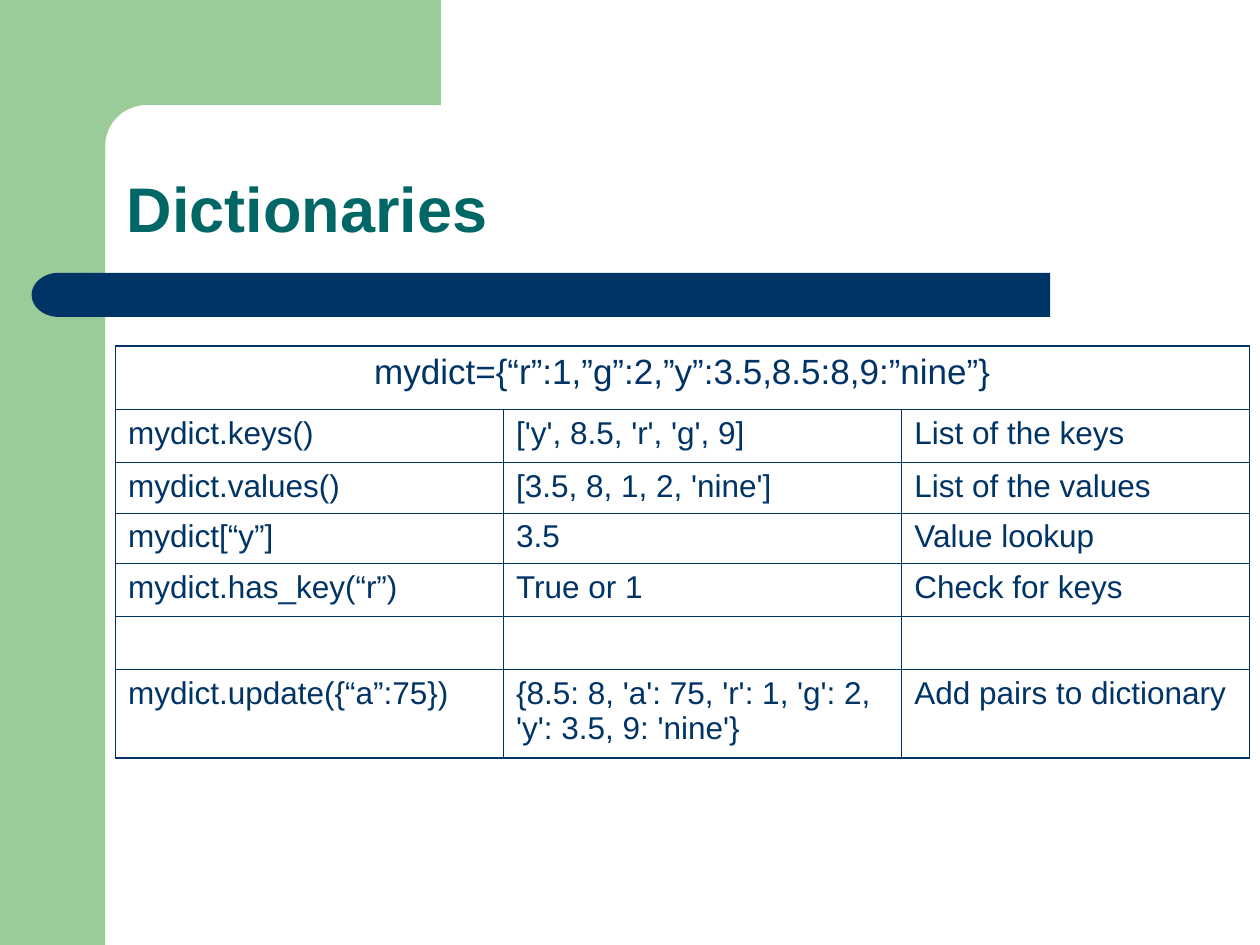
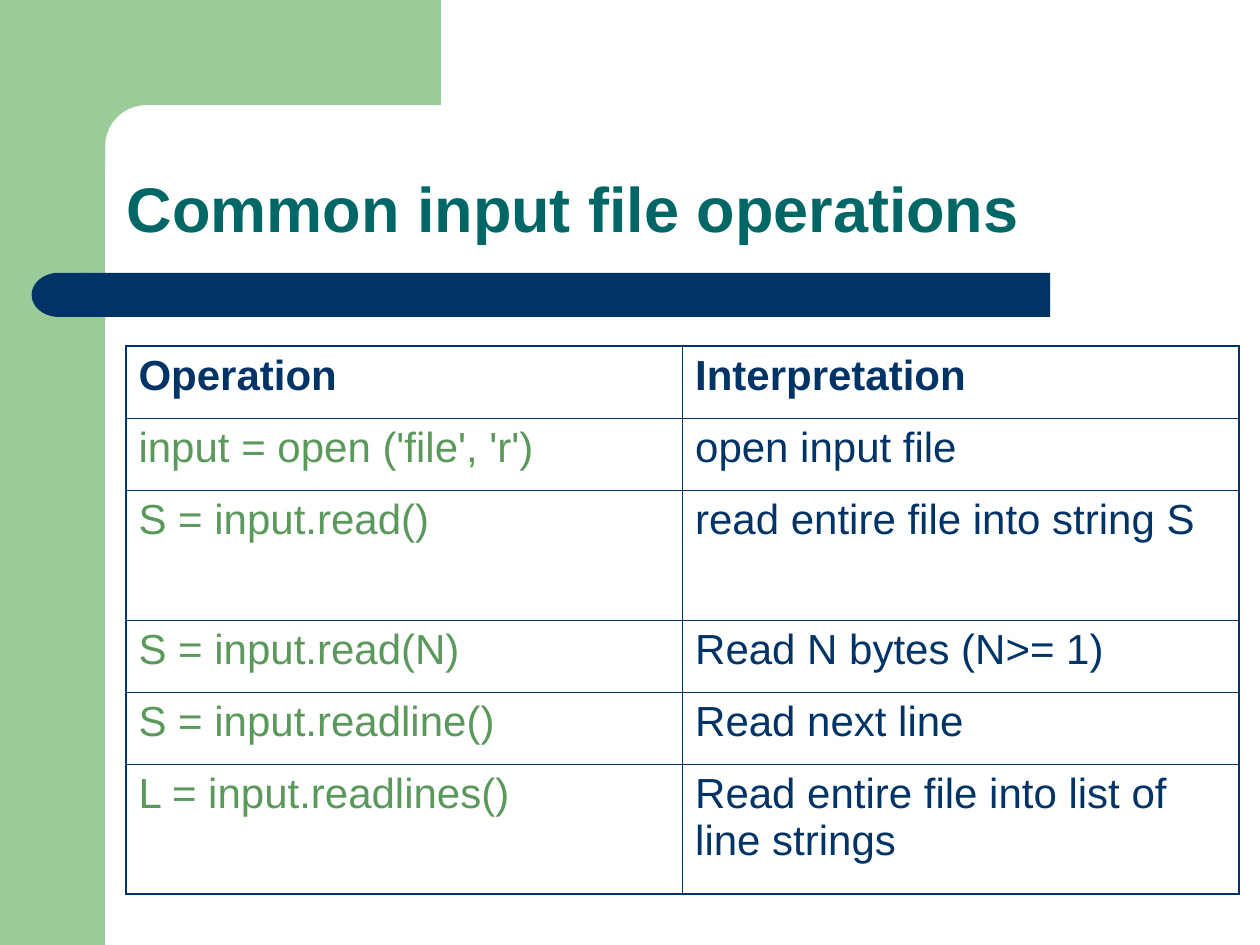
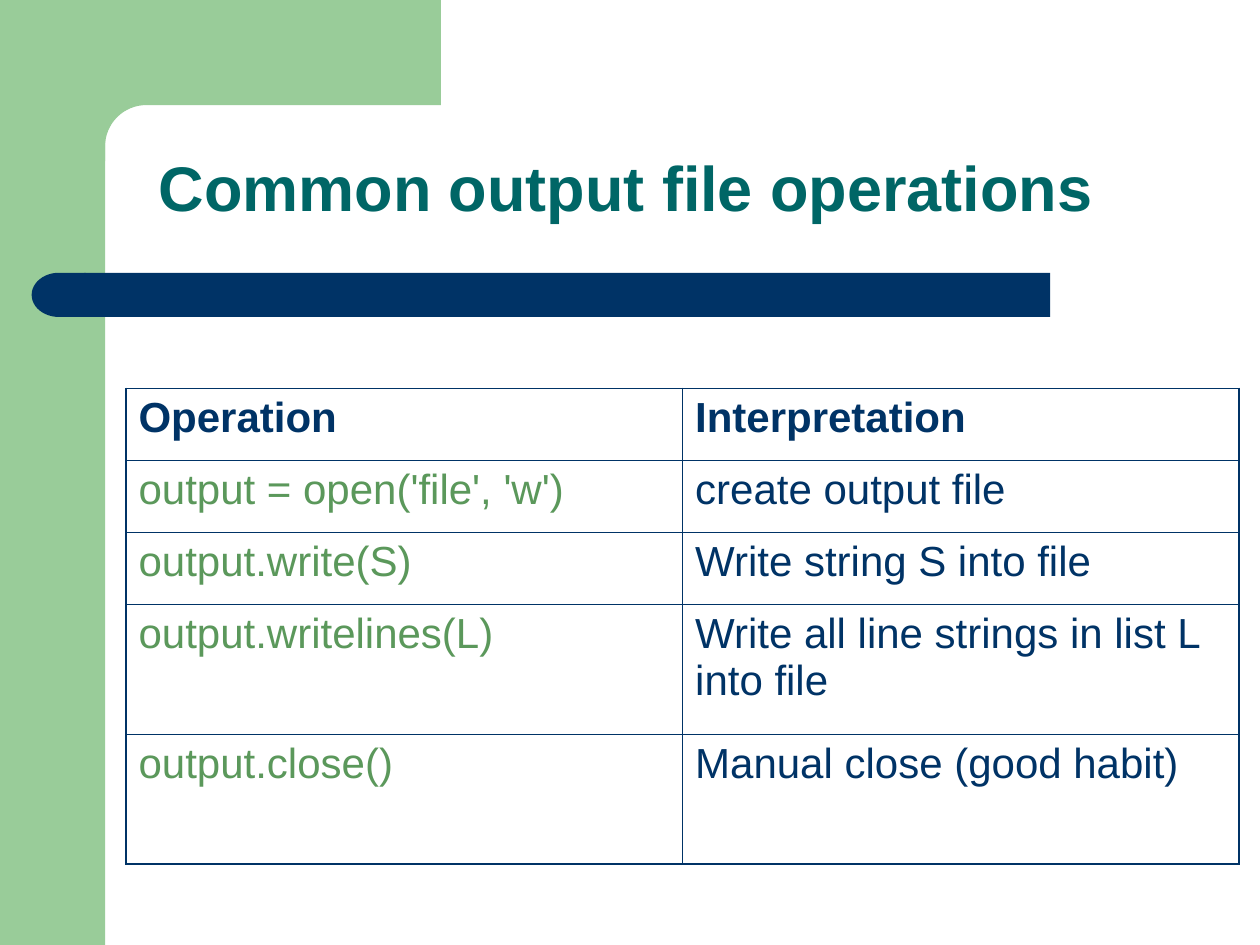
from math import cos, pi, sin

from pptx import Presentation
from pptx.dml.color import RGBColor
from pptx.enum.shapes import MSO_SHAPE
from pptx.enum.text import MSO_ANCHOR, PP_ALIGN
from pptx.oxml.ns import qn
from pptx.util import Cm, Pt
from lxml.etree import SubElement

NAVY = RGBColor(0x00, 0x33, 0x66)
TEAL = RGBColor(0x00, 0x66, 0x66)
LEAF = RGBColor(0x5B, 0x98, 0x5B)
MINT = RGBColor(0x99, 0xCC, 0x99)
FONT = "Arial"
THIN, THICK = Pt(0.45), Pt(1.08)

# Row heights in cm
LOW, HIGH = 1.45, 2.62

# Content: a row is its height and its cells
DICT = [
    (1.27, ["mydict={“r”:1,”g”:2,”y”:3.5,8.5:8,9:”nine”}", "", ""]),
    (1.07, ["mydict.keys()", "['y', 8.5, 'r', 'g', 9]", "List of the keys"]),
    (1.02, ["mydict.values()", "[3.5, 8, 1, 2, 'nine']", "List of the values"]),
    (1.02, ["mydict[“y”]", "3.5", "Value lookup"]),
    (1.07, ["mydict.has_key(“r”)", "True or 1", "Check for keys"]),
    (1.07, ["", "", ""]),
    (1.78, ["mydict.update({“a”:75})",
            "{8.5: 8, 'a': 75, 'r': 1, 'g': 2, 'y': 3.5, 9: 'nine'}",
            "Add pairs to dictionary"]),
]
HEAD = (LOW, ["Operation", "Interpretation"])
INPUT = [
    HEAD,
    (LOW, ["input = open ('file', 'r')", "open input file"]),
    (HIGH, ["S = input.read()", "read entire file into string S"]),
    (LOW, ["S = input.read(N)", "Read N bytes (N>= 1)"]),
    (LOW, ["S = input.readline()", "Read next line"]),
    (HIGH, ["L = input.readlines()", "Read entire file into list of line strings"]),
]
OUTPUT = [
    HEAD,
    (LOW, ["output = open('file', 'w')", "create output file"]),
    (LOW, ["output.write(S)", "Write string S into file"]),
    (HIGH, ["output.writelines(L)", "Write all line strings in list L into file"]),
    (HIGH, ["output.close()", "Manual close (good habit)"]),
]

# Formats of the header row, the first column and the other cells
DICT_LOOK = {
    "head": {"size": Pt(20), "bold": False, "color": NAVY},
    "key": {"size": Pt(18), "bold": False, "color": NAVY},
    "body": {"size": Pt(18), "bold": False, "color": NAVY},
}
FILE_LOOK = {
    "head": {"size": Pt(24), "bold": True, "color": NAVY},
    "key": {"size": Pt(24), "bold": False, "color": LEAF},
    "body": {"size": Pt(24), "bold": False, "color": NAVY},
}
TITLE = {"size": Pt(36), "bold": True, "color": TEAL}
PAIR = [11.22, 11.22]

# Title, its box, table corner, column widths, rows, formats
LEFT_BOX = (2.31, 2.31, 21.62, 2.77)
SLIDES = [
    ("Dictionaries", LEFT_BOX, (2.33, 6.98), [7.82, 8.03, 7.01], DICT, DICT_LOOK),
    ("Common input file operations", LEFT_BOX, (2.54, 6.98), PAIR, INPUT, FILE_LOOK),
    ("Common output file operations", (2.95, 1.9, 21.69, 2.77), (2.54, 7.83),
     PAIR, OUTPUT, FILE_LOOK),
]


def cms(*nums):
    return [Cm(num) for num in nums]


def style(font, look):
    font.name = FONT
    for name, value in look.items():
        if name == "color":
            font.color.rgb = value
        else:
            setattr(font, name, value)


def paint(shape, color):
    shape.shadow.inherit = False
    shape.fill.solid()
    shape.fill.fore_color.rgb = color
    shape.line.fill.background()
    return shape


def add_frame(slide):
    shapes = slide.shapes
    paint(shapes.add_shape(MSO_SHAPE.RECTANGLE, *cms(0, 0, 2.12, 19.05)), MINT)

    # Top block with a rounded inner corner
    mid, rad, steps = 2.95, 0.83, 16
    turns = [pi / 2 * i / steps for i in range(steps + 1)]
    arc = [(mid - rad * sin(t), mid - rad * cos(t)) for t in turns]
    points = [(8.89, 2.12), *arc, (2.12, 3.25), (1.27, 3.25), (1.27, 0)]
    form = shapes.build_freeform(Cm(8.89), 0)
    form.add_line_segments([cms(*point) for point in points], close=True)
    paint(form.convert_to_shape(), MINT)

    # Bar with a round left end
    bar = shapes.add_shape(MSO_SHAPE.ROUNDED_RECTANGLE, *cms(1.7, 5.5, 19.47, 0.89))
    bar.adjustments[0] = 0
    paint(bar, NAVY)
    end = shapes.add_shape(MSO_SHAPE.FLOWCHART_DELAY, *cms(0.64, 5.5, 1.09, 0.89))
    end._element.spPr.get_or_add_xfrm().set("flipH", "1")
    paint(end, NAVY)


def add_title(slide, text, box):
    frame = slide.shapes.add_textbox(*cms(*box)).text_frame
    frame.word_wrap = True
    frame.vertical_anchor = MSO_ANCHOR.BOTTOM
    para = frame.paragraphs[0]
    para.line_spacing = 0.9
    run = para.add_run()
    run.text = text
    style(run.font, TITLE)


def add_edges(cell, outer):
    props = cell._tc.get_or_add_tcPr()
    for side in "LRTB":
        width = THICK if side in outer else THIN
        line = SubElement(props, qn(f"a:ln{side}"), w=str(width))
        fill = SubElement(line, qn("a:solidFill"))
        SubElement(fill, qn("a:srgbClr"), val=str(NAVY))
    cell.fill.background()


def add_grid(slide, corner, cols, rows, looks):
    size = sum(cols), sum(high for high, _ in rows)
    grid = slide.shapes.add_table(len(rows), len(cols), *cms(*corner, *size)).table
    grid.first_row = grid.horz_banding = False
    for col, wide in zip(grid.columns, cols):
        col.width = Cm(wide)
    for r, (high, texts) in enumerate(rows):
        grid.rows[r].height = Cm(high)
        for c, text in enumerate(texts):
            cell = grid.cell(r, c)
            outer = {side for side, at_edge in {
                "L": c == 0, "R": c == len(cols) - 1,
                "T": r == 0, "B": r == len(rows) - 1}.items() if at_edge}
            add_edges(cell, outer)
            look = looks["head" if r == 0 else "key" if c == 0 else "body"]
            para = cell.text_frame.paragraphs[0]
            if text:
                para.space_before = look["size"] // 4
                run = para.add_run()
                run.text = text
                style(run.font, look)
    return grid


def main():
    deck = Presentation()
    deck.slide_width, deck.slide_height = cms(25.4, 19.05)
    for title, box, corner, cols, rows, looks in SLIDES:
        slide = deck.slides.add_slide(deck.slide_layouts[6])
        add_frame(slide)
        add_title(slide, title, box)
        grid = add_grid(slide, corner, cols, rows, looks)
        if rows is DICT:
            # One centred heading over all columns
            first = grid.cell(0, 0)
            first.merge(grid.cell(0, len(cols) - 1))
            first.text_frame.paragraphs[0].alignment = PP_ALIGN.CENTER
    deck.save("out.pptx")


if __name__ == "__main__":
    main()
